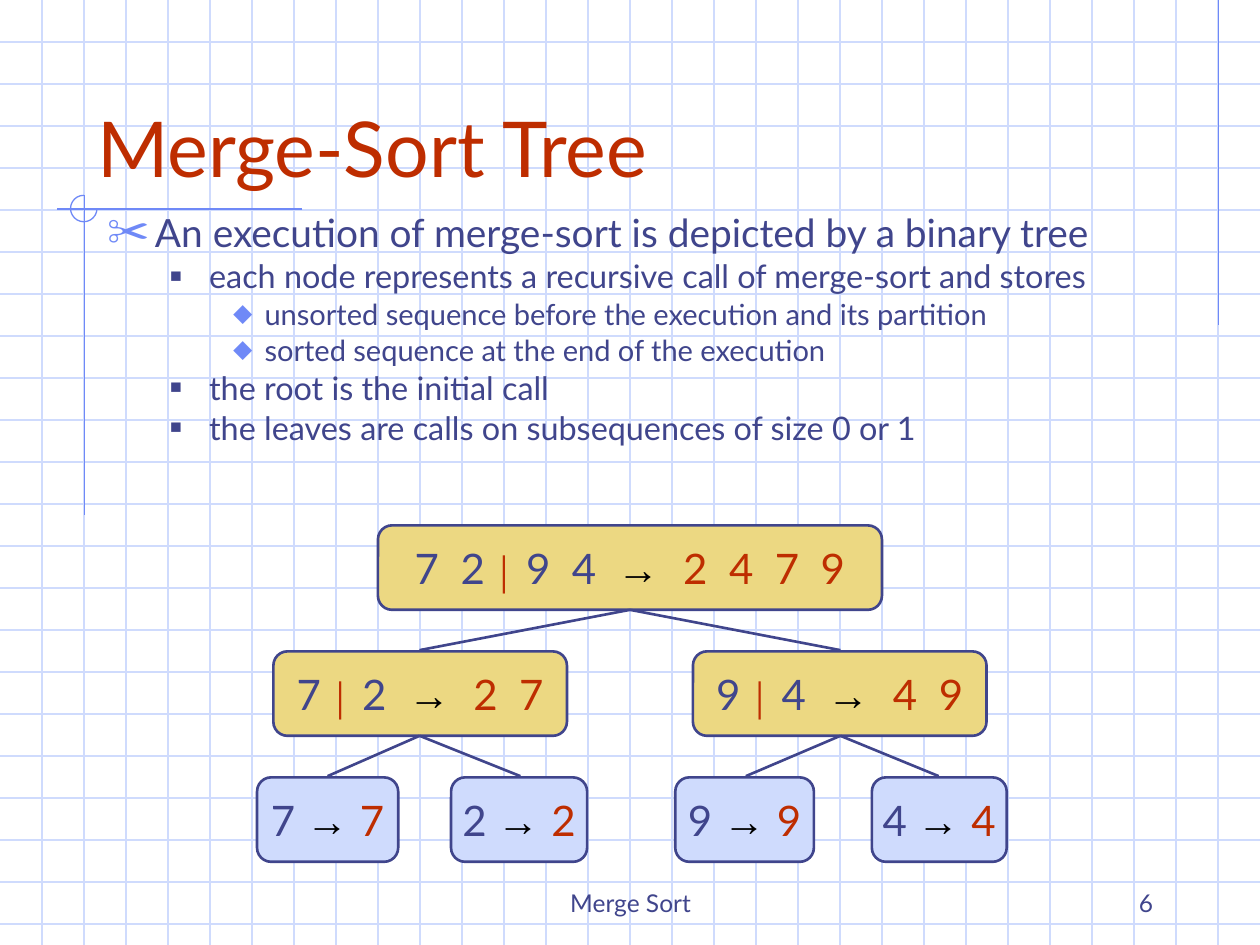
from lxml import etree
from pptx import Presentation
from pptx.dml.color import RGBColor
from pptx.enum import shapes, text
from pptx.oxml import ns
from pptx.util import Inches, Pt

NAVY = RGBColor(0x40, 0x45, 0x8C)
RED = RGBColor(0xBE, 0x2D, 0x00)
BLUE = RGBColor(0x6F, 0x89, 0xF7)
PALE_BLUE = RGBColor(0xCF, 0xDB, 0xFD)
GOLD = RGBColor(0xEC, 0xD8, 0x82)
BLACK = RGBColor(0, 0, 0)

presentation = Presentation()
presentation.slide_width = Inches(10)
presentation.slide_height = Inches(7.5)
slide = presentation.slides.add_slide(presentation.slide_layouts[1])


def add_line(x1, y1, x2, y2, color, width):
    line = slide.shapes.add_connector(
        shapes.MSO_CONNECTOR.STRAIGHT, Inches(x1), Inches(y1), Inches(x2), Inches(y2))
    line.line.color.rgb = color
    line.line.width = Pt(width)
    etree.SubElement(line._element.spPr, ns.qn("a:effectLst"))


def style_font(font, size, color, name="Lato", bold=False):
    font.size = Pt(size)
    font.color.rgb = color
    font.name = name
    font.bold = bold


for step in range(1, 23):
    add_line(0, step / 3, 10, step / 3, PALE_BLUE, 0.74)
for step in range(1, 30):
    add_line(step / 3, 0, step / 3, 7.5, PALE_BLUE, 0.74)

for ends in [(9.67, 0, 9.67, 2.58), (2.4, 1.66, 0.45, 1.66), (0.67, 1.55, 0.67, 4.09)]:
    add_line(*ends, BLUE, 0.74)
arc = slide.shapes.add_shape(
    shapes.MSO_SHAPE.ARC, Inches(0.56), Inches(1.55), Inches(0.21), Inches(0.21))
arc.adjustments[0] = 0
arc.adjustments[1] = 162
arc.fill.background()
arc.line.color.rgb = BLUE
arc.line.width = Pt(0.74)
arc.shadow.inherit = False

for left, width, words, alignment in [
    (3.42, 3.17, "Merge Sort", text.PP_ALIGN.CENTER),
    (7.17, 2.08, "6", text.PP_ALIGN.RIGHT),
]:
    footer = slide.shapes.add_textbox(Inches(left), Inches(6.83), Inches(width), Inches(0.5))
    footer.text_frame.word_wrap = True
    footer.text_frame.vertical_anchor = text.MSO_ANCHOR.BOTTOM
    paragraph = footer.text_frame.paragraphs[0]
    paragraph.text = words
    paragraph.alignment = alignment
    style_font(paragraph.font, 14, NAVY)

title = slide.shapes.title
body = slide.placeholders[1]
for placeholder, box in [(title, (0.67, 0.33, 8.5, 1.25)), (body, (0.75, 1.68, 8.83, 2.41))]:
    placeholder.left, placeholder.top, placeholder.width, placeholder.height = map(Inches, box)
    placeholder.text_frame.auto_size = text.MSO_AUTO_SIZE.NONE
    slide.shapes._spTree.append(placeholder._element)

title.text_frame.text = "Merge-Sort Tree"
title.text_frame.vertical_anchor = text.MSO_ANCHOR.BOTTOM
paragraph = title.text_frame.paragraphs[0]
paragraph.alignment = text.PP_ALIGN.LEFT
style_font(paragraph.font, 44, RED)

LEVELS = [
    (22.2, 6, 0.38, 0.38, "✂", BLUE, 110),
    (18.5, 5, 0.81, 0.31, "■", NAVY, 60),
    (16.6, 4.5, 1.25, 0.25, "⬥", BLUE, 95),
]
OUTLINE = [
    (0, "An execution of merge-sort is depicted by a binary tree"),
    (1, "each node represents a recursive call of merge-sort and stores"),
    (2, "unsorted sequence before the execution and its partition"),
    (2, "sorted sequence at the end of the execution"),
    (1, "the root is the initial call"),
    (1, "the leaves are calls on subsequences of size 0 or 1"),
]
body.text_frame.text = "\n".join(words for level, words in OUTLINE)
for paragraph, (level, words) in zip(body.text_frame.paragraphs, OUTLINE):
    size, space, margin, hanging, bullet, bullet_color, percent = LEVELS[level]
    paragraph.level = level
    paragraph.line_spacing = 0.8
    paragraph.space_before = Pt(space)
    properties = paragraph._p.get_or_add_pPr()
    properties.set("marL", str(Inches(margin)))
    properties.set("indent", str(-Inches(hanging)))
    color = etree.SubElement(properties, ns.qn("a:buClr"))
    etree.SubElement(color, ns.qn("a:srgbClr"), val=str(bullet_color))
    etree.SubElement(properties, ns.qn("a:buSzPct"), val=str(percent * 1000))
    etree.SubElement(properties, ns.qn("a:buChar"), char=bullet)
    style_font(paragraph.font, size, NAVY)

NODES = [
    (3, 4.17, 4, "7  2 ", " 9  4  ", "2  4  7  9"),
    (2.17, 5.17, 2.33, "7 ", " 2  ", "2  7"),
    (5.5, 5.17, 2.33, "9 ", " 4  ", "4  9"),
    (2.04, 6.17, 1.12, "7 ", "", "7"),
    (3.58, 6.17, 1.08, "2 ", "", "2"),
    (5.36, 6.17, 1.1, "9 ", "", "9"),
    (6.92, 6.17, 1.07, "4 ", "", "4"),
]
for left, top, width, first, second, merged in NODES:
    node = slide.shapes.add_shape(
        shapes.MSO_SHAPE.ROUNDED_RECTANGLE,
        Inches(left), Inches(top), Inches(width), Inches(0.67))
    node.shadow.inherit = False
    node.fill.solid()
    node.fill.fore_color.rgb = GOLD if second else PALE_BLUE
    node.line.color.rgb = NAVY
    node.line.width = Pt(1.5)
    node.text_frame.word_wrap = False
    node.text_frame.vertical_anchor = text.MSO_ANCHOR.MIDDLE
    paragraph = node.text_frame.paragraphs[0]
    paragraph.alignment = text.PP_ALIGN.CENTER
    pieces = [(first, 24, NAVY, "Lato", False)]
    if second:
        pieces += [("│", 18, RED, "Arial", True), (second, 24, NAVY, "Lato", False)]
    pieces += [
        ("→  " if second else "→ ", 24, BLACK, "Arial", True),
        (merged, 24, RED, "Lato", False),
    ]
    for words, *style in pieces:
        run = paragraph.add_run()
        run.text = words
        style_font(run.font, *style)

for parent_x, parent_y, children in [
    (5, 4.84, (3.33, 6.67)), (3.33, 5.84, (2.6, 4.13)), (6.67, 5.84, (5.92, 7.45)),
]:
    for child_x in children:
        add_line(parent_x, parent_y, child_x, parent_y + 0.32, NAVY, 1.5)

presentation.save("out.pptx")
